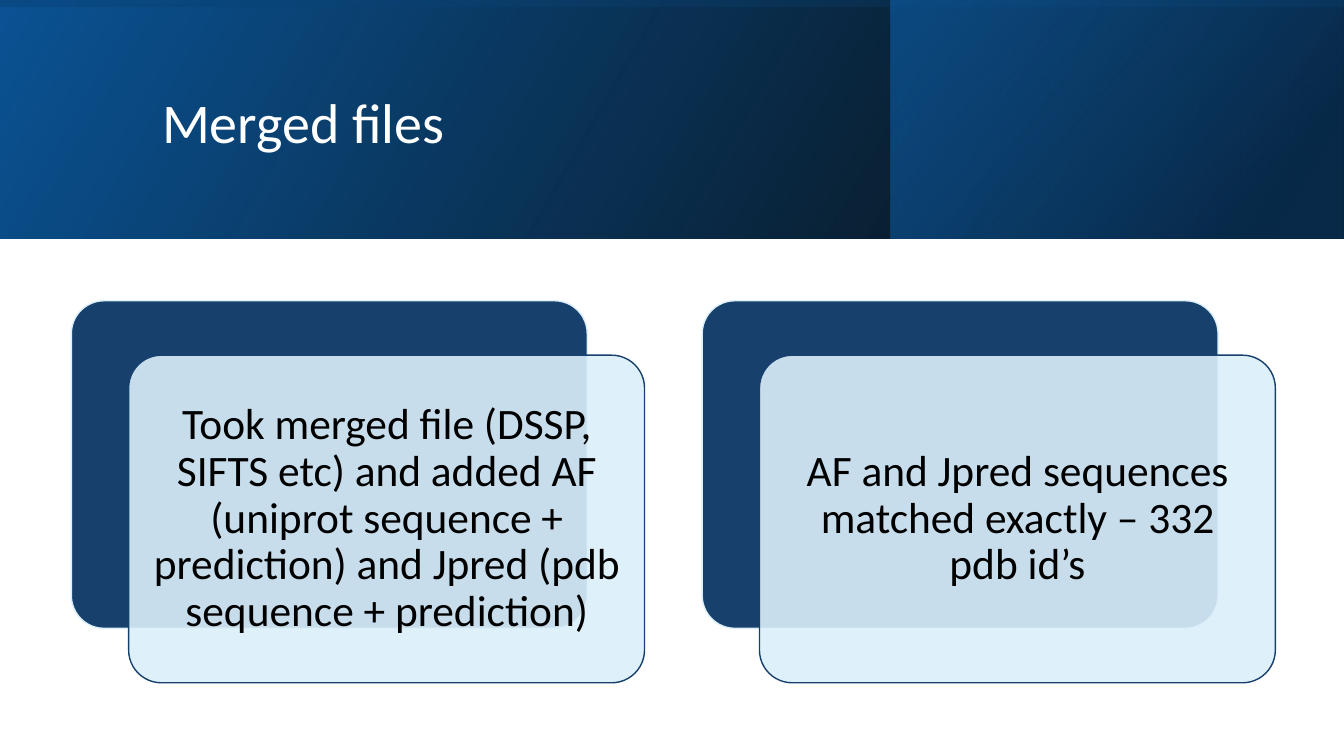
"""Builds the slide on merged files: a shaded banner above two layered cards."""
import pptx
import pptx.dml.color
import pptx.enum.shapes
import pptx.enum.text
import pptx.oxml
import pptx.oxml.ns
import pptx.util

Pt = pptx.util.Pt
RGB = pptx.dml.color.RGBColor
SHAPE = pptx.enum.shapes.MSO_SHAPE
ALIGN = pptx.enum.text.PP_ALIGN
qn = pptx.oxml.ns.qn

BLACK = RGB(0x00, 0x00, 0x00)
WHITE = RGB(0xFF, 0xFF, 0xFF)
BLUE = RGB(0x0B, 0x53, 0x94)
DEEP = RGB(0x08, 0x37, 0x63)
BRIGHT = RGB(0x0F, 0x6F, 0xC6)
NAVY = RGB(0x17, 0x40, 0x6D)
PALE = RGB(0xDB, 0xEF, 0xF9)

WIDE, HIGH = 960, 540
BAND = 170.5
CARDS = [
    "Took merged file (DSSP, SIFTS etc) and added AF (uniprot sequence + "
    "prediction) and Jpred (pdb sequence + prediction)",
    "AF and Jpred sequences matched exactly – 332 pdb id’s",
]


def fade(shape, *levels):
    colors = list(shape._element.spPr.iter(qn("a:srgbClr")))
    for color, level in zip(colors, levels):
        alpha = pptx.oxml.parse_xml(
            '<a:alpha xmlns:a="http://schemas.openxmlformats.org/drawingml/2006/main"'
            f' val="{level * 1000}"/>')
        color.append(alpha)


def add_shape(slide, kind, box):
    shape = slide.shapes.add_shape(kind, *map(Pt, box))
    shape.shadow.inherit = False
    return shape


def add_shade(slide, box, angle, stops, turn=0):
    shape = add_shape(slide, SHAPE.RECTANGLE, box)
    shape.line.fill.background()
    shape.rotation = turn
    shape._element.spPr.xfrm.set("flipH", "1")
    shape.fill.gradient()
    shape.fill.gradient_angle = 360 - angle
    for stop, (place, color, level) in zip(shape.fill.gradient_stops, stops):
        stop.position = place
        stop.color.rgb = color
    fade(shape, *[level for place, color, level in stops])


def add_text(slide, box, words, size, color, align, inset):
    frame = slide.shapes.add_textbox(*map(Pt, box)).text_frame
    frame.word_wrap = True
    frame.vertical_anchor = pptx.enum.text.MSO_ANCHOR.MIDDLE
    frame.margin_left = frame.margin_right = Pt(inset)
    frame.margin_top = frame.margin_bottom = Pt(inset)
    para = frame.paragraphs[0]
    para.alignment = align
    para.line_spacing = 0.9
    run = para.add_run()
    run.text = words
    run.font.name = "Calibri"
    run.font.size = Pt(size)
    run.font.color.rgb = color


def add_banner(slide, box):
    left, top, width, height = box
    add_shade(slide, box, 330, [(0, BLACK, 96), (1, BLUE, 100)])
    split = 636.5
    add_shade(slide, (left + split, top, width - split, height), 320,
              [(0.19, DEEP, 68), (1, BRIGHT, 48)])
    shift = (width - height) / 2
    add_shade(slide, (left + shift, top - shift, height, width), 350,
              [(0.23, BLUE, 16), (0.99, BLACK, 45)], turn=270)
    add_text(slide, (left + 108.7, top + 27.4, 765.4, 123.8), "Merged files",
             40, WHITE, ALIGN.LEFT, 7.2)


def add_panel(slide, box, fill, edge):
    panel = add_shape(slide, SHAPE.ROUNDED_RECTANGLE, box)
    panel.adjustments[0] = 0.1
    panel.fill.solid()
    panel.fill.fore_color.rgb = fill
    panel.line.color.rgb = edge
    panel.line.width = Pt(1)
    return panel


def add_card(slide, box, words):
    left, top, width, height = box
    add_panel(slide, box, NAVY, PALE)
    left, top = left + 40.9, top + 38.9
    front = add_panel(slide, (left, top, width, height), PALE, NAVY)
    fade(front, 90)
    pad = 6.85
    add_text(slide, (left + pad, top + pad, width - 2 * pad, height - 2 * pad),
             words, 31, BLACK, ALIGN.CENTER, 9.3)


def main():
    deck = pptx.Presentation()
    deck.slide_width, deck.slide_height = Pt(WIDE), Pt(HIGH)
    slide = deck.slides.add_slide(deck.slide_layouts[6])
    add_banner(slide, (0, 0, WIDE, BAND))
    for i, words in enumerate(CARDS):
        add_card(slide, (51 + i * 450.6, 214.8, 368.5, 234), words)
    deck.save("out.pptx")


if __name__ == "__main__":
    main()
